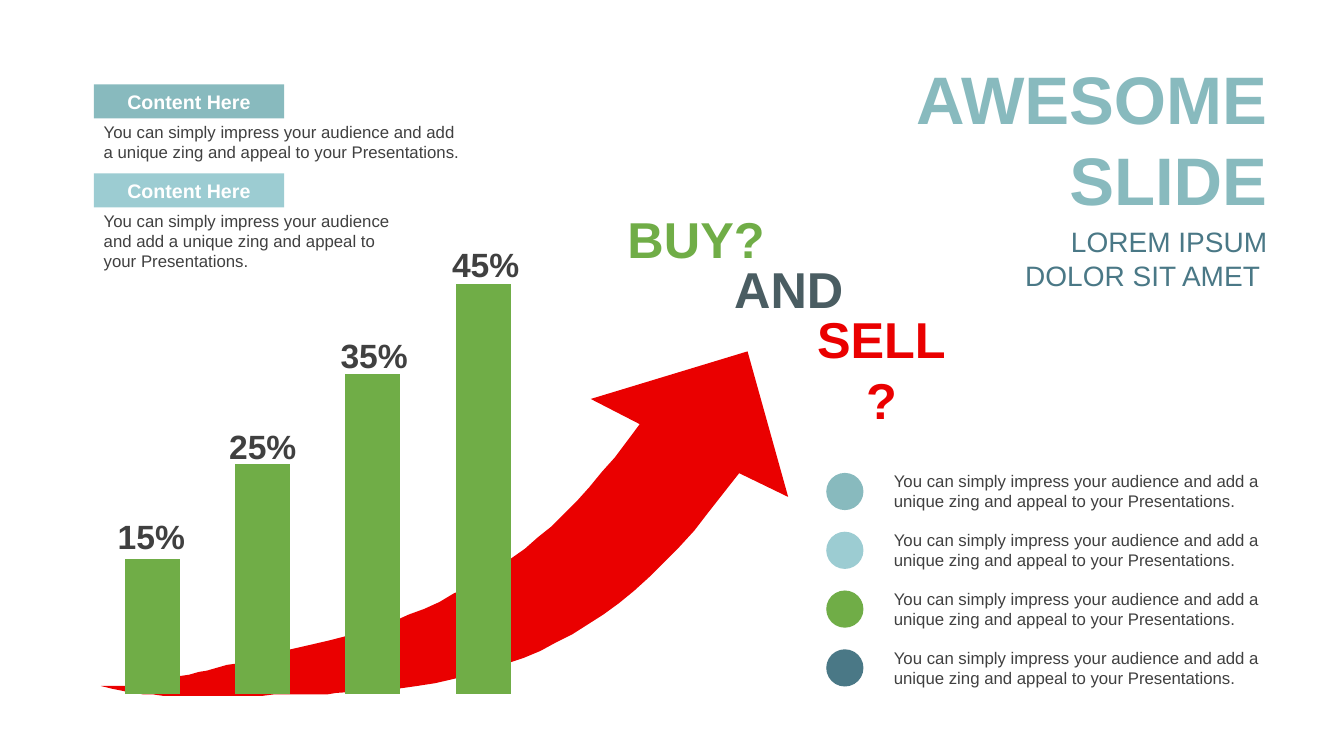
from dataclasses import dataclass

import pptx
import pptx.chart.data
import pptx.dml.color
import pptx.enum.chart
import pptx.enum.shapes
import pptx.enum.text
import pptx.oxml
import pptx.util
from pptx.util import Pt

ALIGN = pptx.enum.text.PP_ALIGN
ANCHOR = pptx.enum.text.MSO_ANCHOR
SHAPE = pptx.enum.shapes.MSO_SHAPE


@dataclass(frozen=True)
class Theme:
    font: str = "Arial"
    teal: str = "88BABE"
    aqua: str = "9CCCD2"
    green: str = "70AD47"
    blue: str = "4A7886"
    red: str = "EA0000"
    slate: str = "4A5D62"
    dark: str = "404040"
    white: str = "FFFFFF"
    title: int = 48
    slogan: int = 36
    percent: int = 24
    subtitle: int = 20
    axis: int = 18
    heading: int = 14
    body: int = 12


THEME = Theme()
BODY = "You can simply impress your audience and add a unique zing and appeal to your Presentations."
ARROW_START = (533.5, 250.6)
# Each segment holds one point for a line, or two handles and an end point for a curve.
ARROW_SEGMENTS = [
    [(563, 355)],
    [(527.8, 337.7)],
    [(442, 458), (361.4, 488.9), (240.5, 495.4)],
    [(188.6, 496), (98.6, 501.8), (72, 489.6)],
    [(88.6, 494.6), (160.6, 475.9), (207.4, 463.7)],
    [(311.8, 442.8), (386.6, 401.8), (457.2, 303.1)],
    [(421.9, 285.1)],
]


def rgb(color):
    return pptx.dml.color.RGBColor.from_string(color)


def paint(shape, color):
    shape.shadow.inherit = False
    shape.fill.solid()
    shape.fill.fore_color.rgb = rgb(color)
    shape.line.fill.background()


def write(shape, text, size, color, bold=False, align=ALIGN.LEFT, anchor=ANCHOR.TOP):
    frame = shape.text_frame
    frame.word_wrap = True
    frame.auto_size = pptx.enum.text.MSO_AUTO_SIZE.SHAPE_TO_FIT_TEXT
    frame.vertical_anchor = anchor
    frame.text = text
    for paragraph in frame.paragraphs:
        paragraph.alignment = align
        for run in paragraph.runs:
            run.font.name = THEME.font
            run.font.size = Pt(size)
            run.font.bold = bold
            run.font.color.rgb = rgb(color)


def add_text(slide, left, top, width, height, text, size, color, **style):
    box = slide.shapes.add_textbox(Pt(left), Pt(top), Pt(width), Pt(height))
    write(box, text, size, color, **style)


def add_filled(slide, kind, left, top, width, height, color):
    shape = slide.shapes.add_shape(kind, Pt(left), Pt(top), Pt(width), Pt(height))
    paint(shape, color)
    return shape


def curve_points(start, first, second, end, steps=24):
    """Return points along a cubic curve, without its start."""
    points = []
    for step in range(1, steps + 1):
        t = step / steps
        weights = ((1 - t) ** 3, 3 * t * (1 - t) ** 2, 3 * t * t * (1 - t), t ** 3)
        points.append(tuple(
            sum(weight * value for weight, value in zip(weights, values))
            for values in zip(start, first, second, end)))
    return points


def add_growth_arrow(slide):
    points = [ARROW_START]
    for segment in ARROW_SEGMENTS:
        points += curve_points(points[-1], *segment) if len(segment) == 3 else segment
    builder = slide.shapes.build_freeform(*ARROW_START, scale=Pt(1))
    builder.add_line_segments(points[1:], close=True)
    paint(builder.convert_to_shape(), THEME.red)


def set_plot_layout(chart, x, y, width, height):
    """Place the inner plot area by fractions of the chart."""
    plot_area = chart._chartSpace.chart.plotArea
    for layout in plot_area.findall(pptx.oxml.ns.qn("c:layout")):
        plot_area.remove(layout)
    plot_area.insert(0, pptx.oxml.parse_xml(
        f'<c:layout {pptx.oxml.ns.nsdecls("c")}><c:manualLayout>'
        '<c:layoutTarget val="inner"/><c:xMode val="edge"/><c:yMode val="edge"/>'
        f'<c:x val="{x}"/><c:y val="{y}"/><c:w val="{width}"/><c:h val="{height}"/>'
        '</c:manualLayout></c:layout>'))


def add_growth_chart(slide):
    data = pptx.chart.data.CategoryChartData()
    data.categories = ["1", "2", "3", "4", "5"]
    data.add_series("Series 1", [33, 56, 78, 100, None])
    chart = slide.shapes.add_chart(
        pptx.enum.chart.XL_CHART_TYPE.COLUMN_CLUSTERED,
        Pt(58.3), Pt(159.8), Pt(411.1), Pt(347), data).chart
    chart.has_legend = False
    chart.has_title = False
    chart.font.name = THEME.font
    chart.font.size = Pt(THEME.axis)
    chart.value_axis.minimum_scale = 0
    chart.value_axis.maximum_scale = 111
    chart.value_axis.has_major_gridlines = False
    chart.value_axis.visible = False
    chart.category_axis.visible = False
    plot = chart.plots[0]
    plot.gap_width = 100
    plot.vary_by_categories = False
    fill = plot.series[0].format.fill
    fill.solid()
    fill.fore_color.rgb = rgb(THEME.green)
    set_plot_layout(chart, 0.027, 0.032, 0.958, 0.936)


def add_heading_block(slide, top, color, text_width, text_height):
    banner = add_filled(slide, SHAPE.RECTANGLE, 67, top, 136, 24.3, color)
    write(banner, "Content Here", THEME.heading, THEME.white,
          bold=True, align=ALIGN.CENTER, anchor=ANCHOR.MIDDLE)
    add_text(slide, 67, top + 23, text_width, text_height, BODY, THEME.body, THEME.dark)


def add_bullet_row(slide, top, color):
    add_filled(slide, SHAPE.OVAL, 590.2, top + 5, 26.6, 26.6, color)
    add_text(slide, 631.4, top, 286.6, 36, BODY, THEME.body, THEME.dark)


def main():
    presentation = pptx.Presentation()
    presentation.slide_width, presentation.slide_height = Pt(960), Pt(540)
    slide = presentation.slides.add_slide(presentation.slide_layouts[6])

    add_growth_arrow(slide)
    add_growth_chart(slide)
    for index, percent in enumerate(["15%", "25%", "35%", "45%"]):
        add_text(slide, 76.4 + 79.6 * index, 365.2 - 64.9 * index, 63.4, 36, percent,
                 THEME.percent, THEME.dark, bold=True, align=ALIGN.CENTER, anchor=ANCHOR.MIDDLE)

    slogan = [("BUY?", THEME.green, 437.8), ("AND", THEME.slate, 504), ("SELL?", THEME.red, 570.2)]
    for index, (word, color, left) in enumerate(slogan):
        add_text(slide, left, 145.2 + 35.8 * index, 118.8, 51, word, THEME.slogan, color,
                 bold=True, align=ALIGN.CENTER)

    for index, color in enumerate([THEME.teal, THEME.aqua, THEME.green, THEME.blue]):
        add_bullet_row(slide, 332.8 + 42 * index, color)

    add_heading_block(slide, 60.3, THEME.teal, 270.7, 36)
    add_heading_block(slide, 123.9, THEME.aqua, 221.8, 51)
    add_text(slide, 604, 36.7, 308.2, 123.8, "AWESOME\nSLIDE", THEME.title, THEME.teal,
             bold=True, align=ALIGN.RIGHT, anchor=ANCHOR.MIDDLE)
    add_text(slide, 625.7, 157, 286.6, 55.4, "LOREM IPSUM\nDOLOR SIT AMET ", THEME.subtitle,
             THEME.blue, align=ALIGN.RIGHT, anchor=ANCHOR.MIDDLE)
    presentation.save("out.pptx")


if __name__ == "__main__":
    main()
